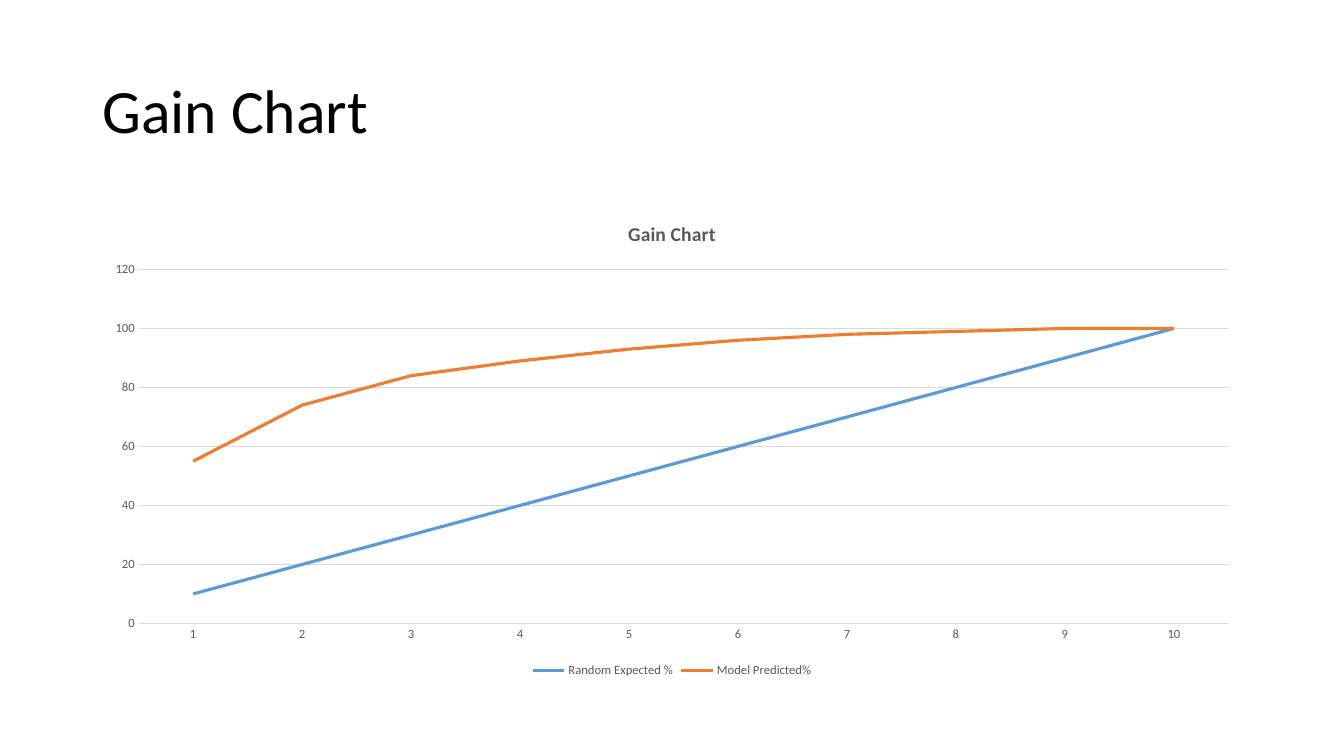
from pptx import Presentation
from pptx.chart.data import CategoryChartData
from pptx.dml.color import RGBColor
from pptx.enum import chart as ch, text
from pptx.util import Pt

TITLE = "Gain Chart"
DECILES = [str(n) for n in range(1, 11)]
SERIES = [
    ("Random Expected %", [10, 20, 30, 40, 50, 60, 70, 80, 90, 100], "blue"),
    ("Model Predicted%", [55, 74, 84, 89, 93, 96, 98, 99, 100, 100], "orange"),
]
COLORS = {"black": "000000", "gray": "595959", "grid": "D9D9D9",
          "blue": "5B9BD5", "orange": "ED7D31"}
FONT = "Calibri"
LEFT, WIDTH = 66, 828


def rgb(name):
    return RGBColor.from_string(COLORS[name])


def style_font(font, size, color="gray", bold=False):
    font.name, font.size, font.bold = FONT, Pt(size), bold
    font.color.rgb = rgb(color)


def style_line(line, color, width):
    line.color.rgb = rgb(color)
    line.width = Pt(width)


def put_text(tf, words, size, color="gray", bold=False, spacing=None):
    p = tf.paragraphs[0]
    if spacing:
        p.line_spacing = spacing
    r = p.add_run()
    r.text = words
    style_font(r.font, size, color, bold)
    return p


def add_gain_chart(slide):
    data = CategoryChartData()
    data.categories = DECILES
    for name, values, _ in SERIES:
        data.add_series(name, values)
    chart = slide.shapes.add_chart(ch.XL_CHART_TYPE.LINE, Pt(LEFT), Pt(144),
                                   Pt(WIDTH), Pt(343), data).chart
    style_font(chart.font, 10, "black")
    chart.has_title = True
    put_text(chart.chart_title.text_frame, TITLE, 14, bold=True)
    chart.chart_title.include_in_layout = False

    for series, (_, _, color) in zip(chart.plots[0].series, SERIES):
        series.smooth = False
        series.marker.style = ch.XL_MARKER_STYLE.NONE
        style_line(series.format.line, color, 2.25)

    for axis in (chart.category_axis, chart.value_axis):
        axis.major_tick_mark = axis.minor_tick_mark = ch.XL_TICK_MARK.NONE
        style_font(axis.tick_labels.font, 9)
    style_line(chart.category_axis.format.line, "grid", 0.75)
    values_axis = chart.value_axis
    values_axis.minimum_scale, values_axis.maximum_scale = 0, 120
    values_axis.major_unit = 20
    values_axis.format.line.fill.background()
    values_axis.has_major_gridlines = True
    style_line(values_axis.major_gridlines.format.line, "grid", 0.75)

    chart.has_legend = True
    chart.legend.position = ch.XL_LEGEND_POSITION.BOTTOM
    chart.legend.include_in_layout = False
    style_font(chart.legend.font, 9)


def main():
    prs = Presentation()
    prs.slide_width, prs.slide_height = Pt(960), Pt(540)
    s = prs.slides.add_slide(prs.slide_layouts[5])
    title = s.shapes.title
    title.left, title.top = Pt(LEFT), Pt(28.75)
    title.width, title.height = Pt(WIDTH), Pt(104.4)
    tf = title.text_frame
    tf.vertical_anchor = text.MSO_ANCHOR.MIDDLE
    p = put_text(tf, TITLE, 44, "black", spacing=0.9)
    p.alignment = text.PP_ALIGN.LEFT
    add_gain_chart(s)
    prs.save("out.pptx")


if __name__ == "__main__":
    main()
